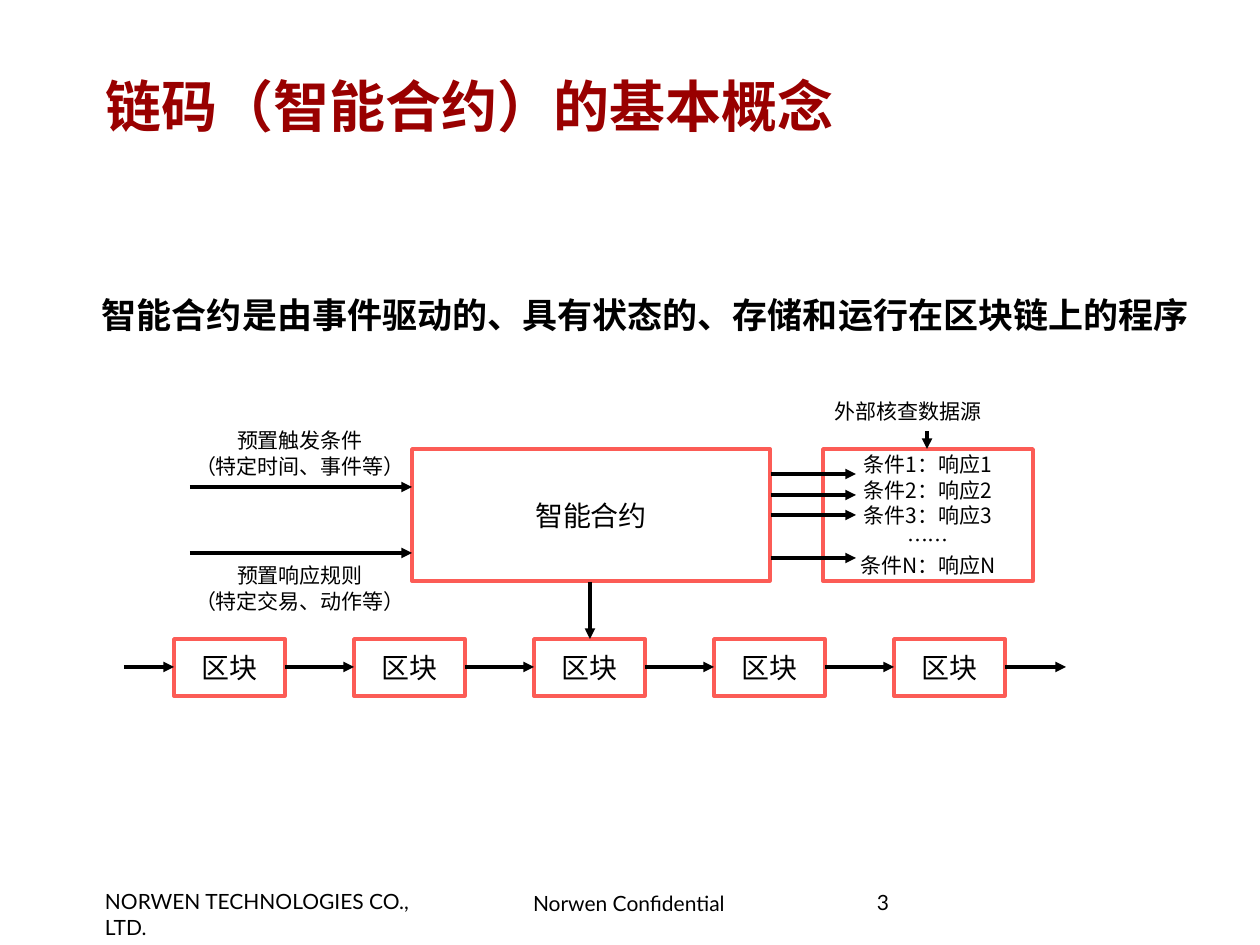
import pptx
import pptx.dml.color
import pptx.enum.shapes
import pptx.enum.text
import pptx.oxml.ns
import pptx.util
from lxml import etree

PIXELS_PER_INCH = 126
LATIN, CHINESE = "Lato", "Noto Sans CJK SC"
BLACK, DARK_RED, CORAL = "000000", "990000", "FC5C56"
LEFT, CENTER = pptx.enum.text.PP_ALIGN.LEFT, pptx.enum.text.PP_ALIGN.CENTER
TOP, MIDDLE = pptx.enum.text.MSO_ANCHOR.TOP, pptx.enum.text.MSO_ANCHOR.MIDDLE


def px(length):
    return pptx.util.Emu(round(length * 914400 / PIXELS_PER_INCH))


def color(value):
    return pptx.dml.color.RGBColor.from_string(value)


def add_child(parent, tag, **attributes):
    return etree.SubElement(parent, pptx.oxml.ns.qn(tag), **attributes)


def write_text(shape, lines, size, font=CHINESE, text_color=BLACK, bold=False,
               align=LEFT, anchor=TOP, insets=(13, 6, 13, 6), spacing=None):
    frame = shape.text_frame
    frame.word_wrap = True
    frame.vertical_anchor = anchor
    frame.margin_left, frame.margin_top, frame.margin_right, frame.margin_bottom = map(px, insets)
    for index, line in enumerate(lines):
        paragraph = frame.add_paragraph() if index else frame.paragraphs[0]
        paragraph.alignment = align
        if spacing:
            paragraph.line_spacing = spacing
        run = paragraph.add_run()
        run.text = line
        run.font.size = pptx.util.Pt(size)
        run.font.bold = bold
        run.font.color.rgb = color(text_color)
        run.font.name = font
        add_child(run.font._element, "a:ea", typeface=CHINESE)


def add_label(slide, left, top, width, height, lines, size, **style):
    box = slide.shapes.add_textbox(px(left), px(top), px(width), px(height))
    write_text(box, lines, size, **style)


def add_box(slide, left, top, width, height, lines, size):
    shape = slide.shapes.add_shape(pptx.enum.shapes.MSO_SHAPE.RECTANGLE,
                                   px(left), px(top), px(width), px(height))
    shape.shadow.inherit = False
    shape.fill.background()
    shape.line.color.rgb = color(CORAL)
    shape.line.width = pptx.util.Pt(2)
    write_text(shape, lines, size, align=CENTER, anchor=MIDDLE)


def add_arrow(slide, start_x, start_y, end_x, end_y):
    arrow = slide.shapes.add_connector(pptx.enum.shapes.MSO_CONNECTOR.STRAIGHT,
                                       px(start_x), px(start_y), px(end_x), px(end_y))
    arrow.line.color.rgb = color(BLACK)
    arrow.line.width = pptx.util.Pt(2)
    add_child(arrow.line._get_or_add_ln(), "a:tailEnd", type="triangle")
    add_child(arrow._element.spPr, "a:effectLst")


def add_footer(slide):
    add_label(slide, 105, 889, 350, 25, ["NORWEN TECHNOLOGIES CO., LTD."], 12,
              font=LATIN, insets=(0, 0, 11, 0))
    add_label(slide, 522, 891, 257, 25, ["Norwen Confidential"], 12,
              font=LATIN, insets=(11, 0, 11, 0))
    add_label(slide, 877, 893, 289, 52, ["3"], 12,
              font=LATIN, insets=(0, 0, 0, 0), spacing=0.85)


def add_headings(slide):
    add_label(slide, 105, 45, 1052, 120, ["链码（智能合约）的基本概念"], 32, font=LATIN,
              text_color=DARK_RED, bold=True, anchor=MIDDLE, insets=(0, 5, 11, 5))
    add_label(slide, 47, 272, 1197, 49, ["智能合约是由事件驱动的、具有状态的、存储和运行在区块链上的程序"], 20,
              bold=True, align=CENTER, insets=(11, 5, 11, 5), spacing=1.4)


def add_contract(slide):
    # Contract and its condition list
    top, height = 449, 132
    add_box(slide, 412, top, 358, height, ["智能合约"], 16)
    conditions = [f"条件{number}：响应{number}" for number in (1, 2, 3, "N")]
    conditions.insert(3, "……")
    add_box(slide, 823, top, 210, height, conditions, 12)
    for y in (474, 495, 515, 558):
        add_arrow(slide, 771, y, 856, y)

    # External data source
    add_label(slide, 822, 393, 212, 38, ["外部核查数据源"], 12)
    add_arrow(slide, 927, 431, 927, top)

    # Preset inputs: label top, arrow height, wording
    inputs = [(422, 487, ["预置触发条件", "（特定时间、事件等）"]),
              (557, 553, ["预置响应规则", "（特定交易、动作等）"])]
    for label_top, arrow_y, lines in inputs:
        add_label(slide, 164, label_top, 272, 63, lines, 12, align=CENTER)
        add_arrow(slide, 190, arrow_y, 412, arrow_y)


def add_chain(slide):
    top, width, height, step = 639, 111, 57, 180
    lefts = [174 + index * step for index in range(5)]
    for left in lefts:
        add_box(slide, left, top, width, height, ["区块"], 16)
    # Arrows run from the right edge of each block to the next one
    starts = [124] + [left + width for left in lefts]
    for start, end in zip(starts, lefts + [1066]):
        add_arrow(slide, start, 667, end, 667)
    add_arrow(slide, 590, 582, 590, top)


def main():
    presentation = pptx.Presentation()
    presentation.slide_width, presentation.slide_height = px(1260), px(945)
    slide = presentation.slides.add_slide(presentation.slide_layouts[6])
    add_footer(slide)
    add_headings(slide)
    add_contract(slide)
    add_chain(slide)
    presentation.save("out.pptx")


if __name__ == "__main__":
    main()
